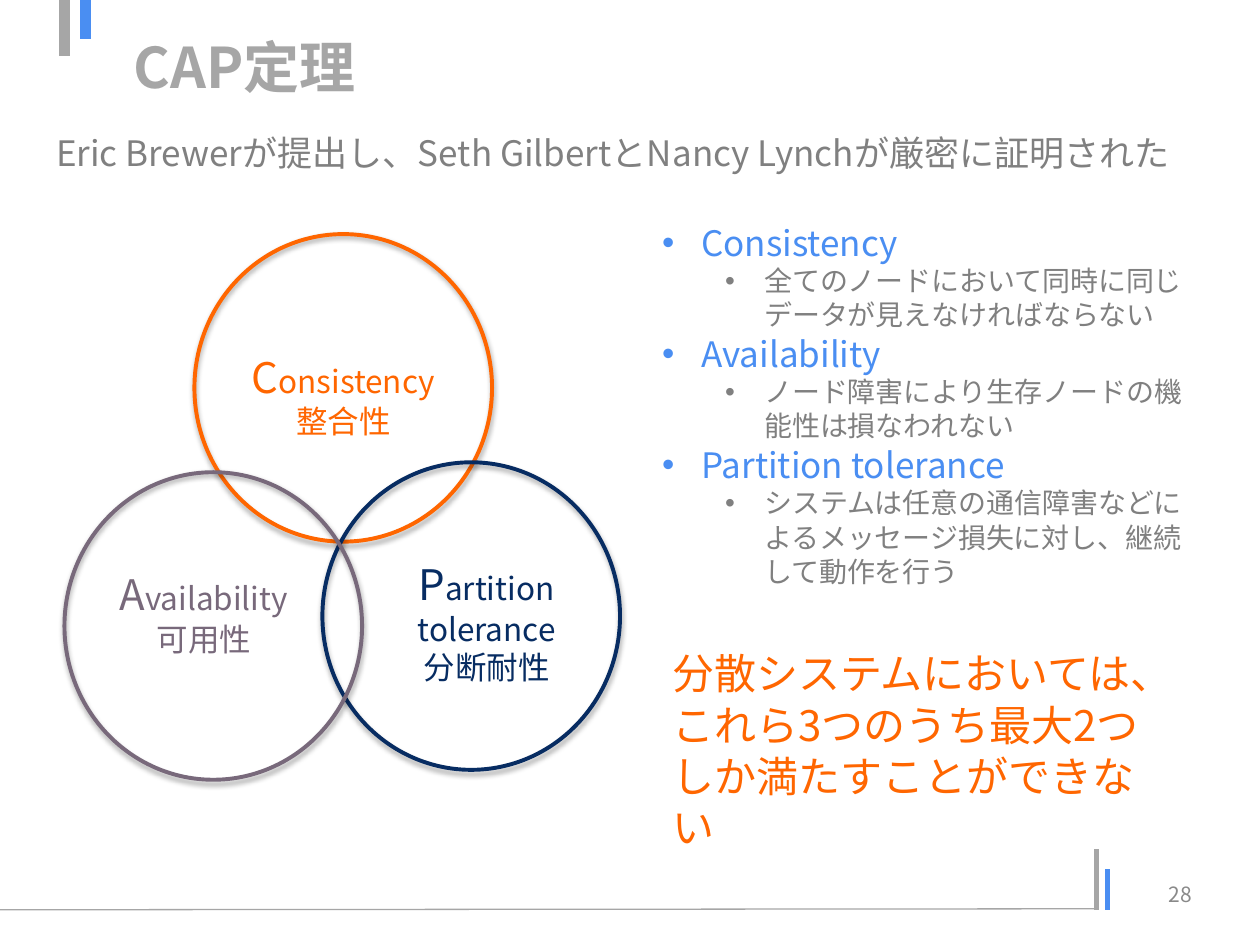
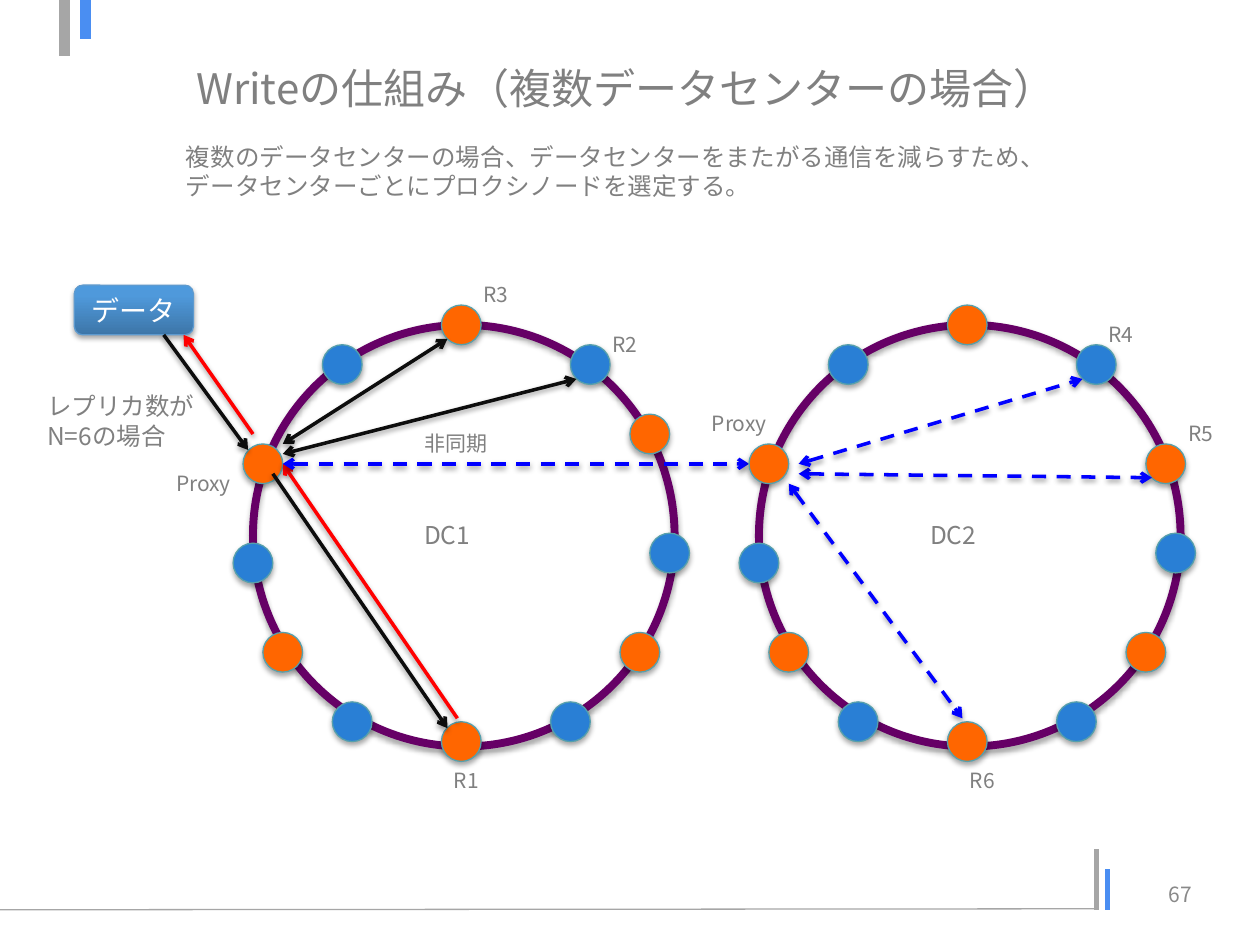
from dataclasses import dataclass
from typing import NamedTuple

from lxml import etree
from pptx import Presentation
from pptx.dml.color import RGBColor
from pptx.enum.dml import MSO_LINE
from pptx.enum.shapes import MSO_CONNECTOR, MSO_SHAPE
from pptx.enum.text import MSO_ANCHOR, MSO_AUTO_SIZE, PP_ALIGN
from pptx.oxml.ns import qn
from pptx.util import Inches, Mm, Pt

OVAL, ROUND = MSO_SHAPE.OVAL, MSO_SHAPE.ROUNDED_RECTANGLE
STRAIGHT, DASH = MSO_CONNECTOR.STRAIGHT, MSO_LINE.DASH
LEFT, MID, RIGHT = PP_ALIGN.LEFT, PP_ALIGN.CENTER, PP_ALIGN.RIGHT
TOP, CENTER = MSO_ANCHOR.TOP, MSO_ANCHOR.MIDDLE
FIT, FIXED = MSO_AUTO_SIZE.SHAPE_TO_FIT_TEXT, MSO_AUTO_SIZE.NONE

CELL = Mm(2)  # every place and size below is counted in these cells
ROOT = 0, 0


@dataclass(frozen=True)
class Theme:
    font: str = "Noto Sans CJK JP"
    pitch: float = 1.22
    pale: str = "A6A6A6"
    gray: str = "808080"
    page: str = "898989"
    blue: str = "4A8EF2"
    orange: str = "FF6600"
    navy: str = "072C62"
    mauve: str = "78697B"
    purple: str = "660066"
    dot: str = "297FD5"
    rim: str = "56A0AC"
    edge: str = "5D9ACF"
    glow: tuple = ((0, "3D76A8"), (80, "4F99DB"), (100, "4C9ADE"))
    black: str = "0D0D0D"
    red: str = "FF0000"
    link: str = "0000FF"
    white: str = "FFFFFF"
    title: int = 32
    big: int = 24
    head: int = 20
    label: int = 18
    body: int = 16
    note: int = 14
    small: int = 12


T = Theme()


class Box(NamedTuple):
    x: float
    y: float
    w: float
    h: float


class Para(NamedTuple):
    text: str
    size: int
    color: str
    dent: float = 0
    cap: str = ""  # larger first letter


class Tag(NamedTuple):
    text: str
    x: float
    y: float
    w: float
    size: int = T.small
    h: float = 3.8


class Line(NamedTuple):
    x1: float
    y1: float
    x2: float
    y2: float
    color: str
    width: float = 2
    head: bool = False
    tail: bool = False
    dash: bool = False


class Set(NamedTuple):
    """One circle of the diagram with its caption."""
    x: float
    y: float
    color: str
    box: Box
    cap: str
    lines: tuple


class Ring(NamedTuple):
    x: float
    y: float
    odd: tuple  # the orange dot that differs between rings
    lines: tuple
    tags: tuple


def place(box: Box, base=ROOT) -> list[int]:
    spots = box.x + base[0], box.y + base[1], box.w, box.h
    return [round(v * CELL) for v in spots]


def rgb(color: str) -> RGBColor:
    return RGBColor.from_string(color)


def node(parent, tag: str, **attrs):
    return etree.SubElement(parent, qn(tag), {k: str(v) for k, v in attrs.items()})


def shade(shape, alpha: int = 0, dist: float = 1.8) -> None:
    """Replace the style's shadow; with no alpha there is none."""
    list_ = node(shape.element.spPr, "a:effectLst")
    if alpha:
        cast = node(list_, "a:outerShdw", blurRad=Pt(3.1), dist=Pt(dist),
                    dir=5400000, rotWithShape=0)
        node(node(cast, "a:srgbClr", val="000000"), "a:alpha", val=alpha * 1000)


def write(frame, *paras, size=T.note, color=T.gray, bold=False, align=LEFT,
          anchor=TOP, wrap=True, grow=FIT) -> None:
    frame.word_wrap, frame.auto_size = wrap, grow
    frame.vertical_anchor = anchor
    for i, item in enumerate(paras):
        item = item if isinstance(item, Para) else Para(item, size, color)
        para = frame.add_paragraph() if i else frame.paragraphs[0]
        para.alignment = align
        para.line_spacing = Pt(T.pitch * (T.big if item.cap else item.size))
        if item.dent:
            props = para._p.get_or_add_pPr()
            props.set("marL", str(Inches(item.dent)))
            props.set("indent", str(-Inches(0.31)))
            node(props, "a:buFont", typeface="Arial")
            node(props, "a:buChar", char="•")
        for text, points in ((item.cap, T.big), (item.text, item.size)):
            if text:
                run = para.add_run()
                run.text = text
                font = run.font
                font.size, font.bold, font.name = Pt(points), bold, T.font
                font.color.rgb = rgb(item.color)
                node(run._r.get_or_add_rPr(), "a:ea", typeface=T.font)


def label(slide, box: Box, *paras, base=ROOT, **form) -> None:
    write(slide.shapes.add_textbox(*place(box, base)).text_frame, *paras, **form)


def shape(slide, kind, box: Box, edge: str, width: float, fill="", base=ROOT):
    item = slide.shapes.add_shape(kind, *place(box, base))
    if fill:
        item.fill.solid()
        item.fill.fore_color.rgb = rgb(fill)
    else:
        item.fill.background()
    item.line.color.rgb, item.line.width = rgb(edge), Pt(width)
    shade(item, 35)
    return item


def draw(slide, line: Line, base=ROOT, alpha=38) -> None:
    ends = zip((line.x1, line.y1, line.x2, line.y2), base * 2)
    item = slide.shapes.add_connector(
        STRAIGHT, *(round((v + b) * CELL) for v, b in ends))
    item.line.color.rgb, item.line.width = rgb(line.color), Pt(line.width)
    if line.dash:
        item.line.dash_style = DASH
    stroke = item.line._get_or_add_ln()
    for tag, used in (("a:headEnd", line.head), ("a:tailEnd", line.tail)):
        if used:
            node(stroke, tag, type="arrow")
    shade(item, alpha, 1.6)


BARS = (
    Line(0, 91.7, 110.5, 91.6, T.pale, 0.75),
    Line(110.5, 91.7, 110.5, 85.6, T.pale, 3),
    Line(111.6, 91.7, 111.6, 87.6, T.blue, 3),
    Line(6.5, 0, 6.5, 5.6, T.pale, 6),
    Line(8.6, 0, 8.6, 3.9, T.blue, 6),
)


def start(deck, page: int, title: str, box: Box, **form):
    """Add a slide with its bars, title and page number."""
    slide = deck.slides.add_slide(deck.slide_layouts[5])
    for bar in BARS:
        draw(slide, bar, alpha=0)
    head = slide.shapes.title
    head.left, head.top, head.width, head.height = place(box)
    write(head.text_frame, title, grow=FIXED, **form)
    label(slide, Box(91.8, 87.6, 29.6, 5.1), str(page), size=T.small,
          color=T.page, align=RIGHT, anchor=CENTER, grow=FIXED)
    return slide


SETS = (
    Set(19.6, 23.6, T.orange, Box(23.4, 34.7, 22.4, 10.3), "C",
        ("onsistency", "整合性")),
    Set(32.5, 46.6, T.navy, Box(40.5, 55.6, 17.1, 14.1), "P",
        ("artition", "tolerance", "分断耐性")),
    Set(6.5, 47.6, T.mauve, Box(10.5, 56.6, 20.1, 10.3), "A",
        ("vailability", "可用性")),
)
TERMS = (
    ("Consistency", "全てのノードにおいて同時に同じデータが見えなければならない"),
    ("Availability", "ノード障害により生存ノードの機能性は損なわれない"),
    ("Partition tolerance",
     "システムは任意の通信障害などによるメッセージ損失に対し、継続して動作を行う"),
)


def cap_slide(deck) -> None:
    slide = start(deck, 28, "CAP定理", Box(12.2, 0.5, 114.3, 12.2),
                  size=T.title, color=T.pale, bold=True, anchor=CENTER)
    label(slide, Box(4.4, 12.6, 119.6, 5.6),
          "Eric Brewerが提出し、Seth GilbertとNancy Lynchが厳密に証明された",
          size=T.head, wrap=False)
    for item in SETS:
        shape(slide, OVAL, Box(item.x, item.y, 30, 31), item.color, 2.25)
    for item in SETS:
        first, *rest = item.lines
        label(slide, item.box, Para(first, T.label, item.color, cap=item.cap),
              *rest, size=T.label, color=item.color, align=MID, wrap=False)
    paras = [para for term, text in TERMS
             for para in (Para(term, T.head, T.blue, 0.31),
                          Para(text, T.body, T.gray, 0.81))]
    label(slide, Box(65.5, 21.6, 56, 38.1), *paras)
    label(slide, Box(66.5, 64.6, 53, 21.8),
          "分散システムにおいては、これら3つのうち最大2つしか満たすことができない",
          size=T.big, color=T.orange)


# Dots, lines and tags are counted from the top left of their ring.
ORANGE = (19, -2), (37, 31), (19, 40), (1, 31), (-1, 12)
BLUE = (7, 2), (32, 2), (40, 21), (30, 38), (8, 38), (-2, 22)
BOTH = dict(head=True, tail=True)
ASYNC = dict(color=T.link, dash=True, **BOTH)
RINGS = (
    Ring(25.5, 32.75, (38, 9), (
        Line(-9, 1, -0.5, 12.6, T.black, tail=True),
        Line(2, 15, 19.6, 40.65, T.black, tail=True),
        Line(3, 14, 20.6, 39.65, T.red, head=True),
        Line(-7, 1, 0, 11, T.red, head=True),
        Line(3, 13, 32.6, 5.45, T.black, **BOTH),
        Line(3, 12, 19.6, 1.4, T.black, **BOTH),
        Line(3, 14, 50, 14, **ASYNC),
    ), (
        Tag("非同期", 16, 10, 9.1), Tag("DC1", 16, 19, 8, T.note, 4.3),
        Tag("R1", 19, 44, 5.5), Tag("R2", 35, 0, 5.6),
        Tag("R3", 22, -5, 5.6), Tag("Proxy", -9, 14, 8.6),
    )),
    Ring(76.5, 32.75, (39, 12), (
        Line(3, 16, 20.5, 39.65, **ASYNC),
        Line(4, 15, 39.6, 15.4, **ASYNC),
        Line(4, 14, 32.6, 5.45, **ASYNC),
    ), (
        Tag("DC2", 16, 19, 8.1, T.note, 4.3), Tag("R4", 34, -1, 5.6),
        Tag("R5", 42, 9, 5.6), Tag("R6", 20, 44, 5.6),
        Tag("Proxy", -6, 8, 8.6),
    )),
)


def draw_ring(slide, ring: Ring) -> None:
    base = ring.x, ring.y
    shape(slide, OVAL, Box(0, 0, 42.5, 42.5), T.purple, 4.5, base=base)
    for fill, dots in ((T.orange, (*ORANGE, ring.odd)), (T.dot, BLUE)):
        for x, y in dots:
            shape(slide, OVAL, Box(x, y, 4, 4), T.rim, 0.75, fill, base)
    for line in ring.lines:
        draw(slide, line, base)
    for tag in ring.tags:
        label(slide, Box(tag.x, tag.y, tag.w, tag.h), tag.text, base=base,
              size=tag.size, wrap=False)


def write_slide(deck) -> None:
    slide = start(deck, 67, "Writeの仕組み（複数データセンターの場合）",
                  Box(18.5, 5.6, 100, 6.4), size=T.big)
    label(slide, Box(17.5, 13.6, 90, 7.2),
          "複数のデータセンターの場合、データセンターをまたがる通信を減らすため、"
          "データセンターごとにプロクシノードを選定する。")
    data = shape(slide, ROUND, Box(7.5, 28.75, 12, 5), T.edge, 0.75)
    data.fill.gradient()
    data.fill.gradient_angle = 90
    stops = data.element.spPr.find(".//" + qn("a:gsLst"))
    stops.clear()
    for share, color in T.glow:
        node(node(stops, "a:gs", pos=share * 1000), "a:srgbClr", val=color)
    write(data.text_frame, "データ", size=T.body, color=T.white, align=MID,
          anchor=CENTER, grow=FIXED)
    label(slide, Box(3.5, 38.75, 17.5, 7.2), "レプリカ数が", "N=6の場合",
          wrap=False)
    for ring in RINGS:
        draw_ring(slide, ring)


def main() -> None:
    deck = Presentation()
    deck.slide_width, deck.slide_height = Inches(10), Inches(7.5)
    cap_slide(deck)
    write_slide(deck)
    deck.save("out.pptx")


if __name__ == "__main__":
    main()
